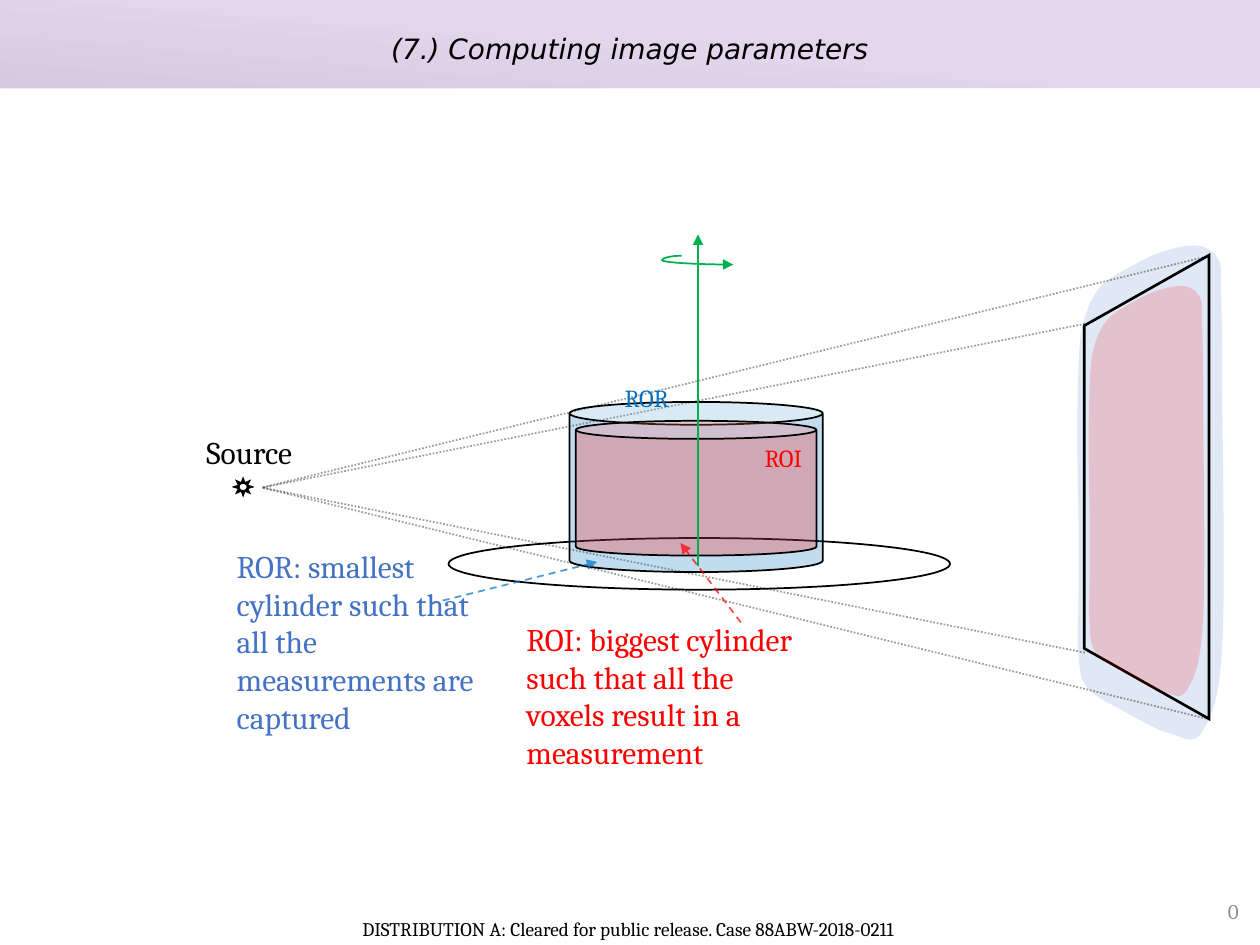
"""Build the slide on computing image parameters from a cone-beam scan."""
from dataclasses import dataclass
from typing import Optional

from lxml.etree import SubElement
from pptx import Presentation
from pptx.dml.color import RGBColor
from pptx.enum.dml import MSO_LINE_DASH_STYLE as Dash
from pptx.enum.shapes import MSO_CONNECTOR as Conn, MSO_SHAPE as Geo
from pptx.enum.text import MSO_ANCHOR as Anchor, MSO_AUTO_SIZE as Auto, PP_ALIGN as Align
from pptx.oxml.ns import qn
from pptx.util import Inches, Pt

COLOURS = {
    "black": "000000", "white": "FFFFFF", "pale": "F0F0F0", "grey": "8C8C8C",
    "purple": "7030A0", "blue": "0070C0", "slate": "4472C4",
    "red": "FF0000", "green": "00B050",
}
OUTLINE = [
    (8.56, 4.16), (8.55, 3.39), (8.57, 2.74), (8.63, 2.46), (8.74, 2.27),
    (8.93, 2.14), (9.22, 2.0), (9.51, 1.95), (9.67, 2.06), (9.69, 2.28),
    (9.7, 3.03), (9.7, 5.13), (9.54, 5.81), (9.28, 5.82), (8.93, 5.65),
    (8.63, 5.46), (8.56, 5.2), (8.56, 4.68),
]


@dataclass
class Solid:
    geo: Geo
    box: tuple
    fill: Optional[str] = None
    alpha: int = 100
    adj: Optional[float] = None
    width: float = 1
    rotation: int = 0


@dataclass
class Line:
    start: tuple
    end: tuple
    colour: str
    dash: Optional[Dash] = None
    alpha: int = 100
    arrow: bool = True
    kind: Conn = Conn.STRAIGHT


@dataclass
class Label:
    text: str
    box: tuple
    size: int
    colour: str
    align: Align = Align.LEFT
    anchor: Anchor = Anchor.TOP
    auto: Auto = Auto.SHAPE_TO_FIT_TEXT


def rgb(name: str) -> RGBColor:
    return RGBColor.from_string(COLOURS[name])


def paint(fill, colour: Optional[str], alpha: int = 100) -> None:
    if colour is None:
        fill.background()
        return
    fill.solid()
    fill.fore_color.rgb = rgb(colour)
    if alpha < 100:
        clr = fill._xPr.find(qn("a:solidFill"))[0]
        SubElement(clr, qn("a:alpha")).set("val", str(alpha * 1000))


def add_solid(s, item: Solid) -> None:
    sp = s.shapes.add_shape(item.geo, *map(Inches, item.box))
    sp.shadow.inherit = False
    sp.rotation = item.rotation
    if item.adj is not None:
        sp.adjustments[0] = item.adj
    paint(sp.fill, item.fill, item.alpha)
    sp.line.color.rgb = rgb("black")
    sp.line.width = Pt(item.width)
    SubElement(sp.line._get_or_add_ln(), qn("a:miter"), lim="800000")


def add_line(s, item: Line):
    cx = s.shapes.add_connector(item.kind, *map(Inches, item.start + item.end))
    cx.line.width = Pt(1)
    paint(cx.line.fill, item.colour, item.alpha)
    if item.dash:
        cx.line.dash_style = item.dash
    if item.arrow:
        SubElement(cx.line._get_or_add_ln(), qn("a:tailEnd")).set("type", "triangle")
    SubElement(cx._element.spPr, qn("a:effectLst"))
    return cx


def add_label(s, item: Label) -> None:
    tf = s.shapes.add_textbox(*map(Inches, item.box)).text_frame
    tf.word_wrap = True
    tf.auto_size = item.auto
    tf.vertical_anchor = item.anchor
    p = tf.paragraphs[0]
    p.text = item.text
    p.alignment = item.align
    p.font.name, p.font.size = "Cambria", Pt(item.size)
    p.font.color.rgb = rgb(item.colour)


def curve_segments(sp) -> None:
    outline = next(sp._element.iter(qn("a:path")))
    points = [(int(pt.get("x")), int(pt.get("y"))) for pt in outline.iter(qn("a:pt"))]
    n = len(points)
    for line in outline.findall(qn("a:lnTo")):
        outline.remove(line)
    close = outline.find(qn("a:close"))
    for i in range(n):
        before, start, end, after = (points[(i + k) % n] for k in (-1, 0, 1, 2))
        leave = [b + (c - a) / 6 for a, b, c in zip(before, start, end)]
        arrive = [c - (d - b) / 6 for b, c, d in zip(start, end, after)]
        curve = SubElement(outline, qn("a:cubicBezTo"))
        for x, y in (leave, arrive, end):
            SubElement(curve, qn("a:pt"), x=str(round(x)), y=str(round(y)))
    outline.append(close)


def add_shadow_zone(s, left: float, top: float, scale: tuple, colour: str) -> None:
    points = [(Inches(left + (x - 8.55) * scale[0]), Inches(top + (y - 1.95) * scale[1]))
              for x, y in OUTLINE]
    builder = s.shapes.build_freeform(*points[0], scale=1.0)
    builder.add_line_segments(points[1:], close=True)
    sp = builder.convert_to_shape()
    curve_segments(sp)
    sp.shadow.inherit = False
    paint(sp.fill, colour, 16)
    sp.line.fill.background()


def add_header(s) -> None:
    title = s.shapes.title
    band = s.shapes.add_shape(Geo.RECTANGLE, 0, 0, Inches(10), Inches(0.7))
    band.shadow.inherit = False
    band.line.fill.background()
    band.fill.gradient()
    band.fill.gradient_angle = 265
    for stop, place, colour in zip(band.fill.gradient_stops, (0.47, 1), ("white", "pale")):
        stop.position = place
        stop.color.rgb = rgb(colour)
    title._element.addprevious(band._element)

    title.left, title.top, title.width, title.height = 0, 0, Inches(10), Inches(0.7)
    paint(title.fill, "purple", 20)
    tf = title.text_frame
    tf.auto_size = Auto.NONE
    tf.vertical_anchor = Anchor.MIDDLE
    tf.margin_left = tf.margin_right = tf.margin_top = Inches(0.1)
    tf.margin_bottom = 0
    p = tf.paragraphs[0]
    p.text = "(7.) Computing image parameters"
    p.alignment, p.line_spacing = Align.CENTER, 0.9
    p.font.name, p.font.size, p.font.italic = "DejaVu Sans", Pt(16), True
    p.font.color.rgb = rgb("black")


SOURCE = (2.08, 3.87)
DETECTOR_CORNERS = [(8.61, 2.57), (8.61, 5.18), (9.6, 2.03), (9.6, 5.71)]
SCENE = [
    Solid(Geo.TRAPEZOID, (7.26, 3.37, 3.68, 0.99), adj=0.565, width=1.5, rotation=270),
    Solid(Geo.SUN, (1.86, 3.8, 0.14, 0.13)),
    Solid(Geo.OVAL, (3.56, 4.27, 3.98, 0.41)),
]
CYLINDERS = [
    Solid(Geo.CAN, (4.52, 3.19, 2.01, 1.35), "blue", 24, 0.134),
    Solid(Geo.CAN, (4.57, 3.34, 1.91, 1.07), "red", 24, 0.134),
]
ARROWS = [
    Line((5.54, 4.49), (5.54, 1.86), "green"),
    Line((3.42, 4.79), (4.74, 4.46), "blue", Dash.DASH, 70),
    Line((5.88, 4.94), (5.4, 4.31), "red", Dash.DASH, 70),
]
FOOTER = Label("DISTRIBUTION A: Cleared for public release. Case 88ABW-2018-0211 ",
               (1.42, 7.23, 7.17, 0.27), 11, "black", Align.CENTER, auto=Auto.NONE)
LABELS = [
    Label("0", (9.49, 7.03, 0.44, 0.4), 12, "grey", Align.RIGHT, Anchor.MIDDLE, Auto.NONE),
    Label("ROR: smallest cylinder such that all the measurements are captured",
          (1.78, 4.29, 2.08, 1.01), 18, "slate"),
    Label("ROI: biggest cylinder such that all the voxels result in a measurement",
          (4.08, 4.87, 2.42, 0.78), 18, "red"),
    Label("Source", (1.54, 3.39, 1.09, 0.4), 18, "black"),
    Label("ROR", (4.86, 2.99, 0.58, 0.26), 14, "blue"),
    Label("ROI", (5.97, 3.47, 0.56, 0.26), 14, "red"),
]

prs = Presentation()
prs.slide_width, prs.slide_height = Inches(10), Inches(7.5)
s = prs.slides.add_slide(prs.slide_layouts[5])
add_header(s)
add_shadow_zone(s, 8.55, 1.95, (1, 1), "slate")
for solid in SCENE:
    add_solid(s, solid)
spin = add_line(s, Line((5.41, 2.03), (5.82, 2.1), "green", kind=Conn.CURVE))
guides = spin._element.spPr.find(qn("a:prstGeom")).get_or_add_avLst()
SubElement(guides, qn("a:gd"), name="adj1", fmla="val -38100")
for corner in DETECTOR_CORNERS:
    add_line(s, Line(corner, SOURCE, "black", Dash.ROUND_DOT, 39, arrow=False))
for cylinder in CYLINDERS:
    add_solid(s, cylinder)
add_shadow_zone(s, 8.64, 2.27, (0.79, 0.83), "red")
for arrow in ARROWS:
    add_line(s, arrow)
for label in [FOOTER, *LABELS]:
    add_label(s, label)
prs.save("out.pptx")
